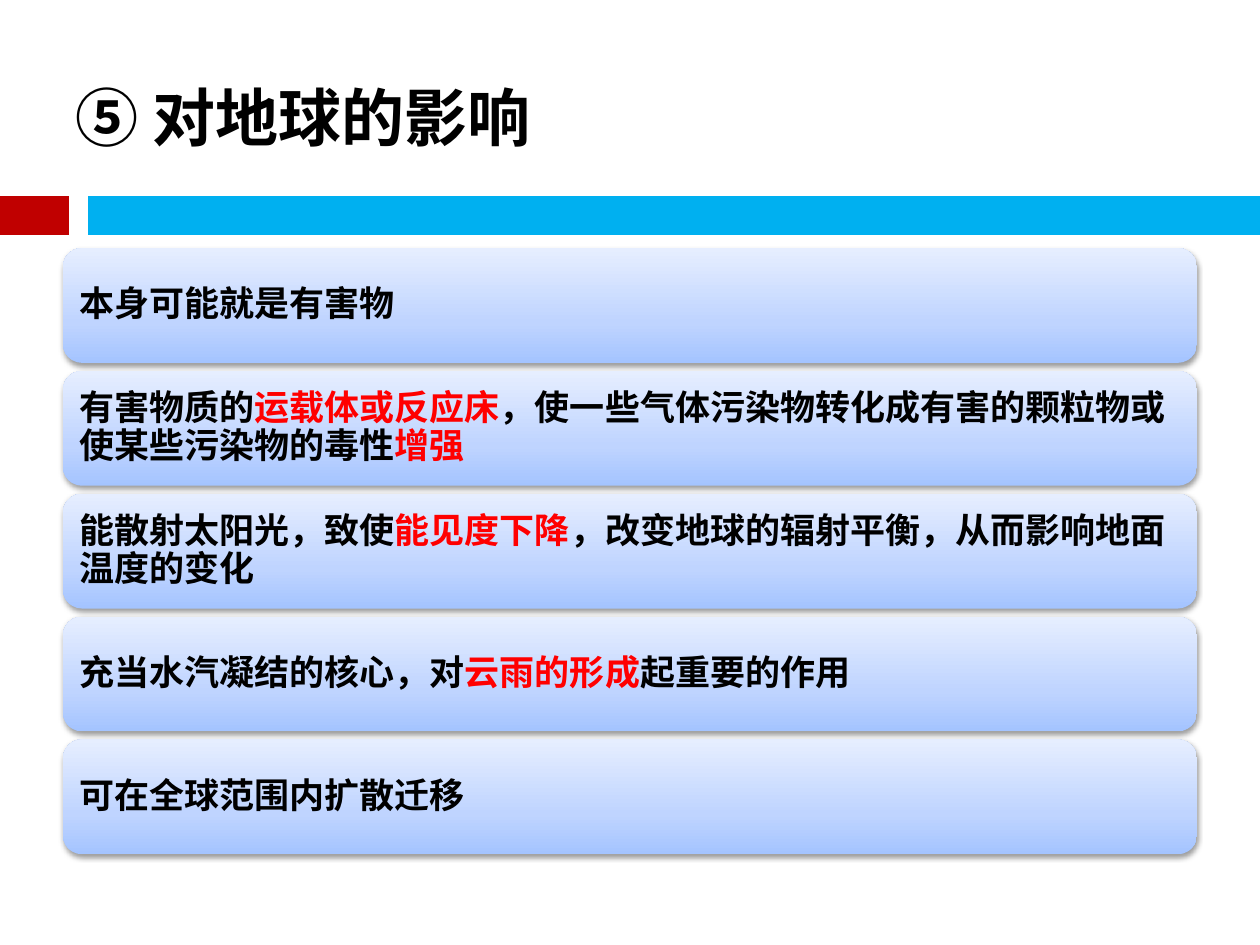
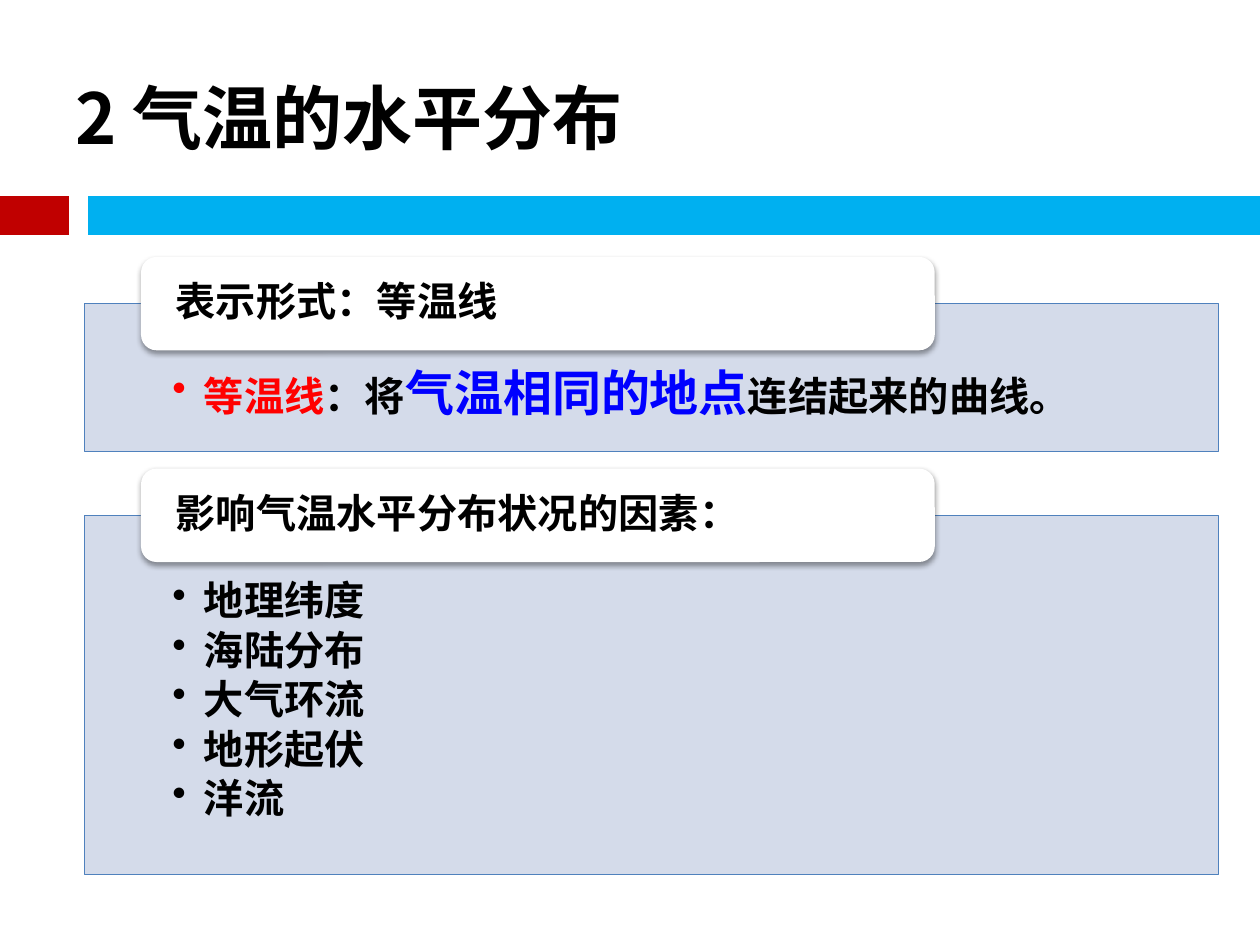
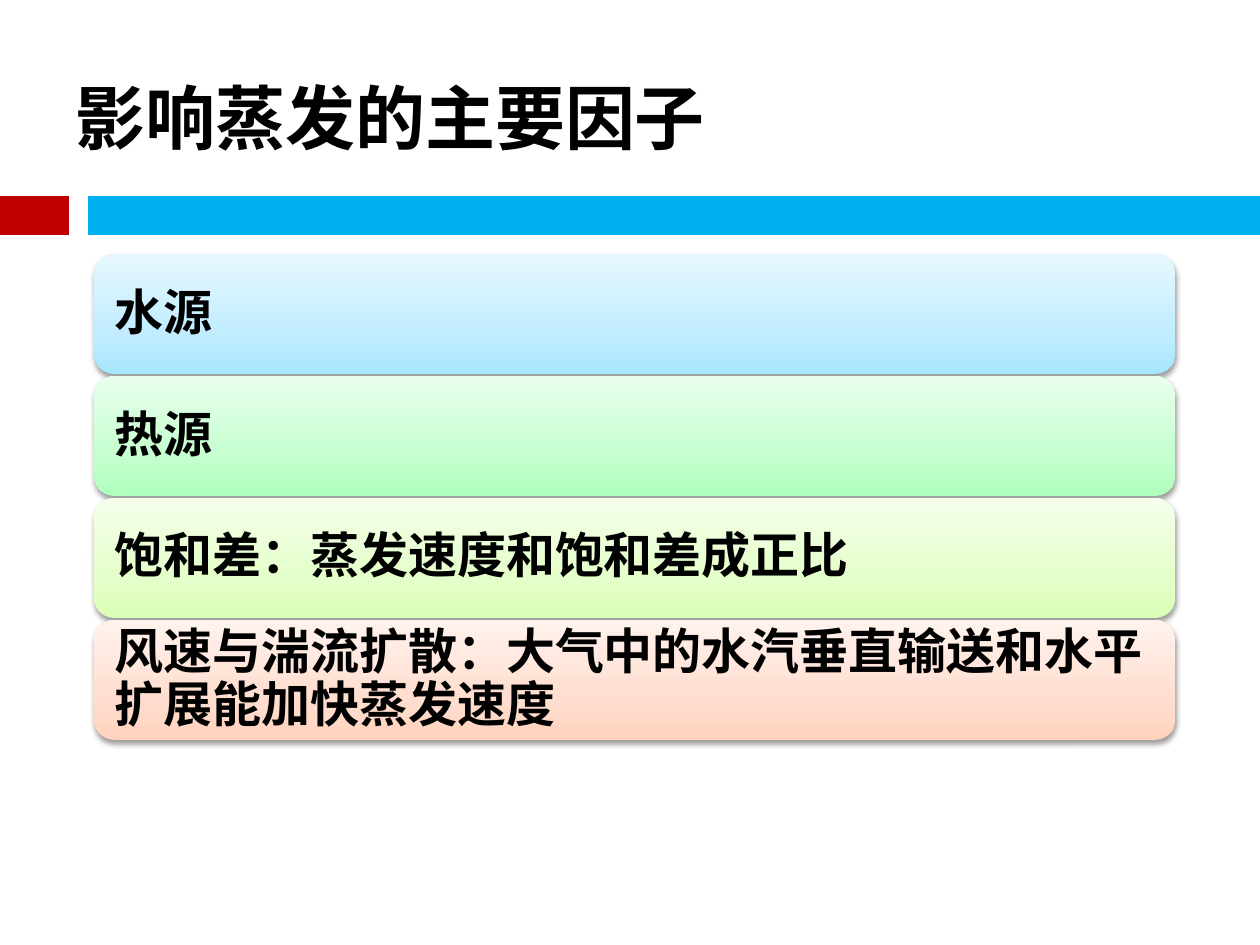
from lxml import etree
from pptx import Presentation
from pptx.dml.color import RGBColor
from pptx.enum.shapes import MSO_CONNECTOR, MSO_SHAPE
from pptx.enum.text import MSO_ANCHOR, PP_ALIGN
from pptx.oxml.ns import nsdecls, qn
from pptx.oxml import parse_xml
from pptx.util import Pt

STRAIGHT = MSO_CONNECTOR.STRAIGHT
RECTANGLE = MSO_SHAPE.RECTANGLE
ROUNDED = MSO_SHAPE.ROUNDED_RECTANGLE
TOP, MIDDLE = MSO_ANCHOR.TOP, MSO_ANCHOR.MIDDLE
LEFT = PP_ALIGN.LEFT

COLORS = {
    "black": "000000", "white": "FFFFFF", "red": "FF0000", "blue": "0000FF",
    "band_red": "C00000", "band_blue": "00B0F0",
    "panel": "D0D8E8", "panel_line": "4F81BD",
}
GRADIENTS = {
    "periwinkle": ("A4C4FF", "BFD4FF", "E6EEFF"),
    "sky": ("A7E6FF", "C1EDFF", "E7F8FF"),
    "mint": ("AFFFBD", "C6FFD0", "E9FFED"),
    "lime": ("DBFFB6", "E5FFCB", "F5FFEB"),
    "peach": ("FFD2BD", "FFDED0", "FFF2ED"),
}
GRADIENT_STOPS = (0, 35, 100)
TITLE_FONT, BODY_FONT = "Noto Sans CJK SC", "Calibri"
BANDS = [(0, 39.6, "band_red"), (50.4, 720, "band_blue")]
BAND_Y, BAND_WEIGHT = 123.1, 22

EARTH_EFFECTS = {
    "title": "⑤ 对地球的影响", "title_size": 36,
    "left": 36, "top": 141.8, "width": 648, "height": 65.6, "pitch": 70.2,
    "inset": 6, "size": 20,
    "cards": [
        ("periwinkle", [("本身可能就是有害物",)]),
        ("periwinkle", [("有害物质的",), ("运载体或反应床", "red"),
                        ("，使一些气体污染物转化成有害的颗粒物或使某些污染物的毒性",),
                        ("增强", "red")]),
        ("periwinkle", [("能散射太阳光，致使",), ("能见度下降", "red"),
                        ("，改变地球的辐射平衡，从而影响地面温度的变化",)]),
        ("periwinkle", [("充当水汽凝结的核心，对",), ("云雨的形成", "red"),
                        ("起重要的作用",)]),
        ("periwinkle", [("可在全球范围内扩散迁移",)]),
    ],
}
TEMPERATURE = {
    "title": "2 气温的水平分布", "title_size": 40, "size": 23,
    "panels": [
        (173.5, 84.5, "表示形式：等温线",
         [[("等温线", "red"), ("：将",), ("气温相同的地点", "blue", 28),
           ("连结起来的曲线。",)]]),
        (294.5, 205.2, "影响气温水平分布状况的因素：",
         [[(factor,)] for factor in
          ("地理纬度", "海陆分布", "大气环流", "地形起伏", "洋流")]),
    ],
}
EVAPORATION = {
    "title": "影响蒸发的主要因子", "title_size": 40,
    "left": 53.8, "top": 145.3, "width": 617.8, "height": 68.4, "pitch": 69.7,
    "inset": 8.4, "size": 28,
    "cards": [
        ("sky", [("水源",)]),
        ("mint", [("热源",)]),
        ("lime", [("饱和差：蒸发速度和饱和差成正比",)]),
        ("peach", [("风速与湍流扩散：大气中的水汽垂直输送和水平扩展能加快蒸发速度",)]),
    ],
}


def rgb(name):
    return RGBColor.from_string(COLORS[name])


def set_font(span, name, size, color):
    for key, value in {"name": name, "size": Pt(size), "bold": True}.items():
        setattr(span.font, key, value)
    span.font.color.rgb = rgb(color)
    east_asian = etree.SubElement(span.font._element, qn("a:ea"))
    east_asian.set("typeface", name)


def add_box(page, kind, left, top, width, height):
    box = page.shapes.add_shape(kind, Pt(left), Pt(top), Pt(width), Pt(height))
    box.shadow.inherit = False
    box.line.fill.background()
    return box


def add_shadow(box):
    effects = box._element.spPr.find(qn("a:effectLst"))
    effects.append(parse_xml(
        f'<a:outerShdw {nsdecls("a")} blurRad="40000" dist="20000" dir="5400000" '
        'rotWithShape="0"><a:srgbClr val="000000"><a:alpha val="38000"/>'
        '</a:srgbClr></a:outerShdw>'))


def fill_gradient(box, name):
    stops = "".join(
        f'<a:gs pos="{stop * 1000}"><a:srgbClr val="{color}"/></a:gs>'
        for stop, color in zip(GRADIENT_STOPS, GRADIENTS[name]))
    geometry = box._element.spPr.find(qn("a:prstGeom"))
    geometry.addnext(parse_xml(
        f'<a:gradFill {nsdecls("a")} rotWithShape="1"><a:gsLst>{stops}</a:gsLst>'
        '<a:lin ang="16200000" scaled="0"/></a:gradFill>'))


def fill_solid(box, color, opacity=100):
    box.fill.solid()
    box.fill.fore_color.rgb = rgb(color)
    if opacity < 100:
        value = box._element.spPr.find(f'{qn("a:solidFill")}/{qn("a:srgbClr")}')
        etree.SubElement(value, qn("a:alpha")).set("val", str(opacity * 1000))


def add_bullet(para):
    properties = para._p.get_or_add_pPr()
    properties.set("marL", str(Pt(18)))
    properties.set("indent", str(Pt(-18)))
    etree.SubElement(properties, qn("a:buChar")).set("char", "•")


def write(box, paragraphs, size, insets, anchor=MIDDLE, bulleted=False):
    frame = box.text_frame
    frame.word_wrap = True
    frame.vertical_anchor = anchor
    for side, inset in zip(("left", "top", "right", "bottom"), insets):
        setattr(frame, f"margin_{side}", Pt(inset))
    for index, spans in enumerate(paragraphs):
        para = frame.add_paragraph() if index else frame.paragraphs[0]
        if bulleted:
            add_bullet(para)
            para.space_after = Pt(size * 0.15)
        para.alignment = LEFT
        para.line_spacing = 0.9
        for text, color, span_size in (
                (span + ("black", size)[len(span) - 1:]) for span in spans):
            span = para.add_run()
            span.text = text
            set_font(span, BODY_FONT, span_size, color)


def add_page(deck, content):
    page = deck.slides.add_slide(deck.slide_layouts[5])
    for start, end, color in BANDS:
        band = page.shapes.add_connector(
            STRAIGHT, Pt(start), Pt(BAND_Y), Pt(end), Pt(BAND_Y))
        band.line.width = Pt(BAND_WEIGHT)
        band.line.color.rgb = rgb(color)
        etree.SubElement(band._element.spPr, qn("a:effectLst"))
    title = page.shapes.title
    for key, value in {"left": 36, "top": 21.6, "width": 648, "height": 90}.items():
        setattr(title, key, Pt(value))
    title.text_frame.vertical_anchor = MIDDLE
    para = title.text_frame.paragraphs[0]
    para.alignment = LEFT
    span = para.add_run()
    span.text = content["title"]
    set_font(span, TITLE_FONT, content["title_size"], "black")
    return page


def add_card_page(deck, content):
    page = add_page(deck, content)
    for index, (gradient, spans) in enumerate(content["cards"]):
        card = add_box(page, ROUNDED, content["left"],
                       content["top"] + index * content["pitch"],
                       content["width"], content["height"])
        fill_gradient(card, gradient)
        add_shadow(card)
        write(card, [spans], content["size"], [content["inset"]] * 4)


def add_panel_page(deck, content):
    page = add_page(deck, content)
    size = content["size"]
    tab_height = 53.4
    for top, height, heading, paragraphs in content["panels"]:
        panel = add_box(page, RECTANGLE, 48.2, top, 648, height)
        fill_solid(panel, "panel", 90)
        panel.line.color.rgb = rgb("panel_line")
        panel.line.width = Pt(0.75)
        write(panel, paragraphs, size, (50.3, 37.4, 50.3, 13), TOP, True)
        tab = add_box(page, ROUNDED, 80.6, top - tab_height / 2, 453.6, tab_height)
        fill_solid(tab, "white")
        add_shadow(tab)
        write(tab, [[(heading,)]], size, (17.2, 0, 17.2, 0))


def main():
    deck = Presentation()
    deck.slide_width, deck.slide_height = Pt(720), Pt(540)
    add_card_page(deck, EARTH_EFFECTS)
    add_panel_page(deck, TEMPERATURE)
    add_card_page(deck, EVAPORATION)
    deck.save("out.pptx")


if __name__ == "__main__":
    main()
